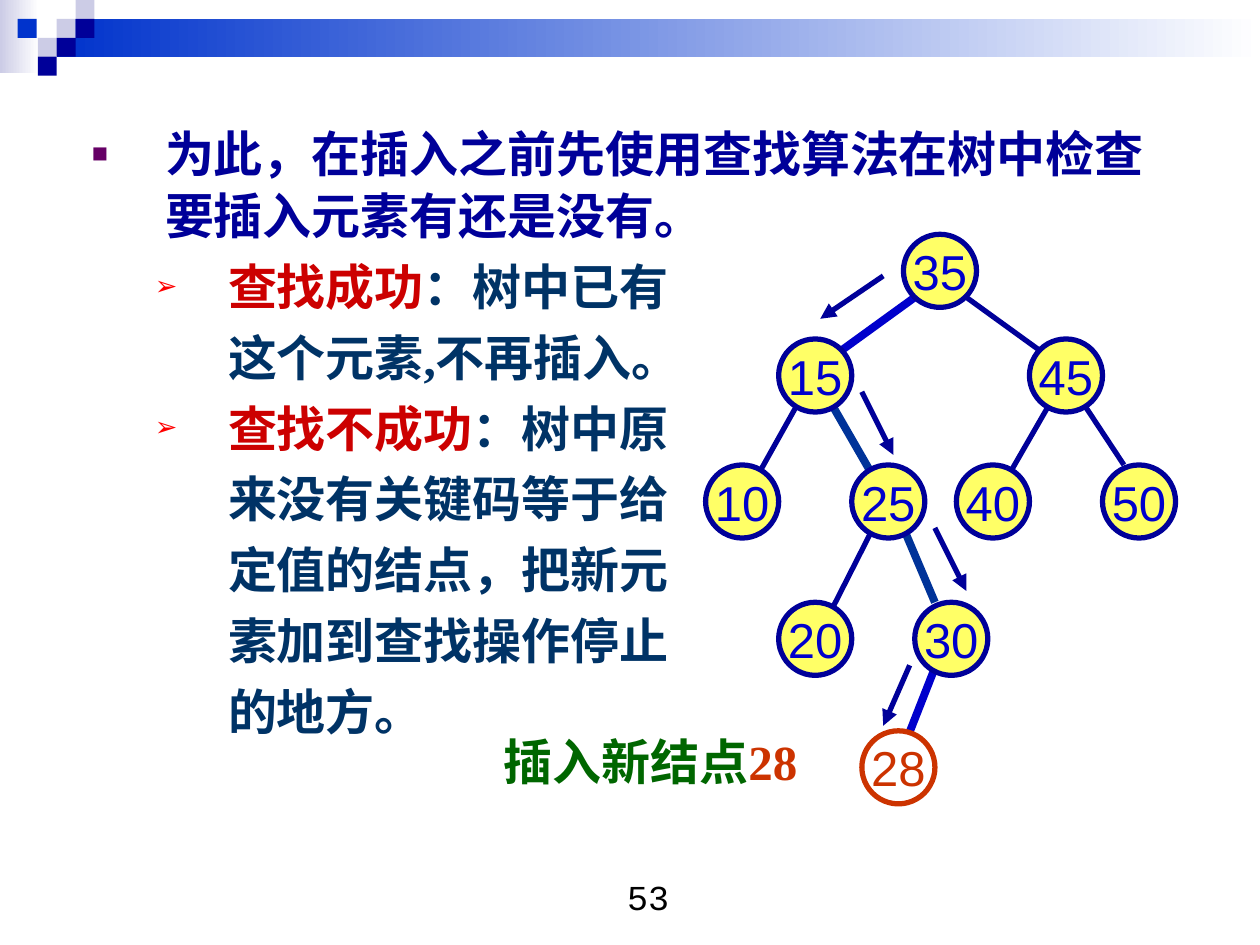
from lxml import etree
from pptx import Presentation
from pptx import util as u
from pptx.dml.color import RGBColor
from pptx.enum import shapes, text
from pptx.oxml.ns import qn

rgb = RGBColor.from_string


def style(r, color, font="Arial", size=28, bold=False):
    r.font.name, r.font.size, r.font.bold = font, u.Pt(size), bold
    r.font.color.rgb = rgb(color)


def line(s, x1, y1, x2, y2, color, width):
    c = s.shapes.add_connector(shapes.MSO_CONNECTOR.STRAIGHT, *map(u.Inches, (x1, y1, x2, y2)))
    c.line.color.rgb = rgb(color)
    c.line.width = u.Pt(width)
    etree.SubElement(c._element.spPr, qn("a:effectLst"))
    return c


prs = Presentation()
prs.slide_width, prs.slide_height = u.Inches(10), u.Inches(7.5)
s = prs.slides.add_slide(prs.slide_layouts[1])
title = s.shapes.title._element
title.getparent().remove(title)

banner = [
    (0, 0, 0.31, 0.58, "CCCCE6", True),
    (0.45, 0.15, 9.55, 0.3, "0033CC", True),
    (0.45, 0.15, 0.15, 0.15, "CCCCE6", False),
    (0.6, 0, 0.15, 0.15, "CCCCE6", False),
    (0.6, 0.15, 0.15, 0.15, "000099", False),
    (0.3, 0.3, 0.15, 0.15, "CCCCE6", False),
    (0.14, 0.15, 0.15, 0.15, "0033CC", False),
    (0.45, 0.3, 0.15, 0.15, "000099", False),
    (0.3, 0.45, 0.15, 0.15, "000099", False),
]
for x, y, w, h, color, fades in banner:
    sp = s.shapes.add_shape(shapes.MSO_SHAPE.RECTANGLE, *map(u.Inches, (x, y, w, h)))
    sp.shadow.inherit = False
    sp.line.fill.background()
    if fades:
        sp.fill.gradient()
        sp.fill.gradient_angle = 0
        for stop, pos, c in zip(sp.fill.gradient_stops, (0, 1), (color, "FFFFFF")):
            stop.position, stop.color.rgb = pos, rgb(c)
    else:
        sp.fill.solid()
        sp.fill.fore_color.rgb = rgb(color)

body = s.placeholders[1]
body.left, body.top, body.width, body.height = map(u.Inches, (0.63, 0.91, 8.75, 5.33))
tf = body.text_frame
tf.auto_size = text.MSO_AUTO_SIZE.NONE
paragraphs = [
    (0, "■", "660066", [("为此，在插入之前先使用查找算法在树中检查要插入元素有还是没有。", "000099")]),
    (1, "➢", "FF0000", [("查找成功", "CC0000"), ("：树中已有", "003366")]),
    (1, None, None, [("这个元素,不再插入。", "003366")]),
    (1, "➢", "FF0000", [("查找不成功", "CC0000"), ("：树中原", "003366")]),
    (1, None, None, [("来没有关键码等于给", "003366")]),
    (1, None, None, [("定值的结点，把新元", "003366")]),
    (1, None, None, [("素加到查找操作停止", "003366")]),
    (1, None, None, [("的地方。", "003366")]),
]
for i, (level, bullet, bullet_color, runs) in enumerate(paragraphs):
    p = tf.add_paragraph() if i else tf.paragraphs[0]
    pPr = p._p.get_or_add_pPr()
    pPr.set("marL", str(u.Inches(1.08 if level else 0.58)))
    pPr.set("indent", str(u.Inches(-0.58 if bullet else 0)))
    if bullet:
        clr = etree.SubElement(pPr, qn("a:buClr"))
        etree.SubElement(clr, qn("a:srgbClr")).set("val", bullet_color)
        etree.SubElement(pPr, qn("a:buSzPct")).set("val", "55000")
        etree.SubElement(pPr, qn("a:buChar")).set("char", bullet)
    else:
        etree.SubElement(pPr, qn("a:buNone"))
    p.level = level
    p.alignment = text.PP_ALIGN.JUSTIFY if level else text.PP_ALIGN.LEFT
    p.line_spacing = 1.05
    p.space_before = u.Pt(5.2 if i else 0)
    for words, color in runs:
        r = p.add_run()
        r.text = words
        style(r, color, "Times New Roman" if level else "Arial", bold=True)

edges = [
    (8.59, 3.19, 8.92, 3.69, "000099", 3),
    (8.34, 3.19, 8, 3.78, "000099", 3),
    (7.17, 4.19, 7.42, 4.78, "003399", 4.5),
    (6.93, 4.19, 6.59, 4.86, "000099", 3),
    (6.34, 3.19, 6.01, 3.78, "000099", 3),
    (6.59, 3.19, 6.93, 3.78, "003399", 4.5),
    (7.26, 2.36, 6.68, 2.78, "0000CC", 4.5),
    (7.67, 2.36, 8.25, 2.78, "000099", 3),
    (7.42, 5.3, 7.09, 6.14, "0000CC", 4.5),
]
for edge in edges:
    line(s, *edge)

nodes = [
    (35, 7.17, 1.86), (15, 6.18, 2.69), (45, 8.17, 2.69),
    (50, 8.75, 3.69), (40, 7.59, 3.69), (25, 6.76, 3.69), (10, 5.6, 3.69),
    (20, 6.18, 4.78), (30, 7.26, 4.78), (28, 6.84, 5.8),
]
for key, x, y in nodes:
    fill, outline, ink = ("FFFFFF", "CC3300", "CC3300") if key == 28 else ("FFFF66", "000099", "0000CC")
    sp = s.shapes.add_shape(shapes.MSO_SHAPE.OVAL, *map(u.Inches, (x, y, 0.58, 0.58)))
    sp.shadow.inherit = False
    sp.fill.solid()
    sp.fill.fore_color.rgb = rgb(fill)
    sp.line.color.rgb = rgb(outline)
    sp.line.width = u.Pt(3)
    tf = sp.text_frame
    tf.word_wrap = False
    tf.vertical_anchor = text.MSO_ANCHOR.MIDDLE
    tf.text = str(key)
    tf.paragraphs[0].alignment = text.PP_ALIGN.CENTER
    style(tf.paragraphs[0].runs[0], ink)

search_steps = [
    (7.01, 2.19, 6.51, 2.53),
    (6.84, 3.11, 7.09, 3.61),
    (7.42, 4.19, 7.67, 4.69),
    (7.22, 5.28, 7.01, 5.76),
]
for step in search_steps:
    arrow = line(s, *step, "000099", 3)
    etree.SubElement(arrow.line._get_or_add_ln(), qn("a:tailEnd")).set("type", "triangle")

labels = [
    (3.9, 5.76, 2.68, 0.57, text.PP_ALIGN.LEFT,
     [("插入新结点", "006600"), ("28", "CC3300")], "Times New Roman", 28, True),
    (3.98, 6.9, 2.33, 0.52, text.PP_ALIGN.CENTER, [("53", "000000")], "Courier New", 20, False),
]
for x, y, w, h, align, runs, font, size, bold in labels:
    tf = s.shapes.add_textbox(*map(u.Inches, (x, y, w, h))).text_frame
    tf.word_wrap = True
    p = tf.paragraphs[0]
    p.alignment = align
    for words, color in runs:
        r = p.add_run()
        r.text = words
        style(r, color, font, size, bold)

prs.save("out.pptx")
